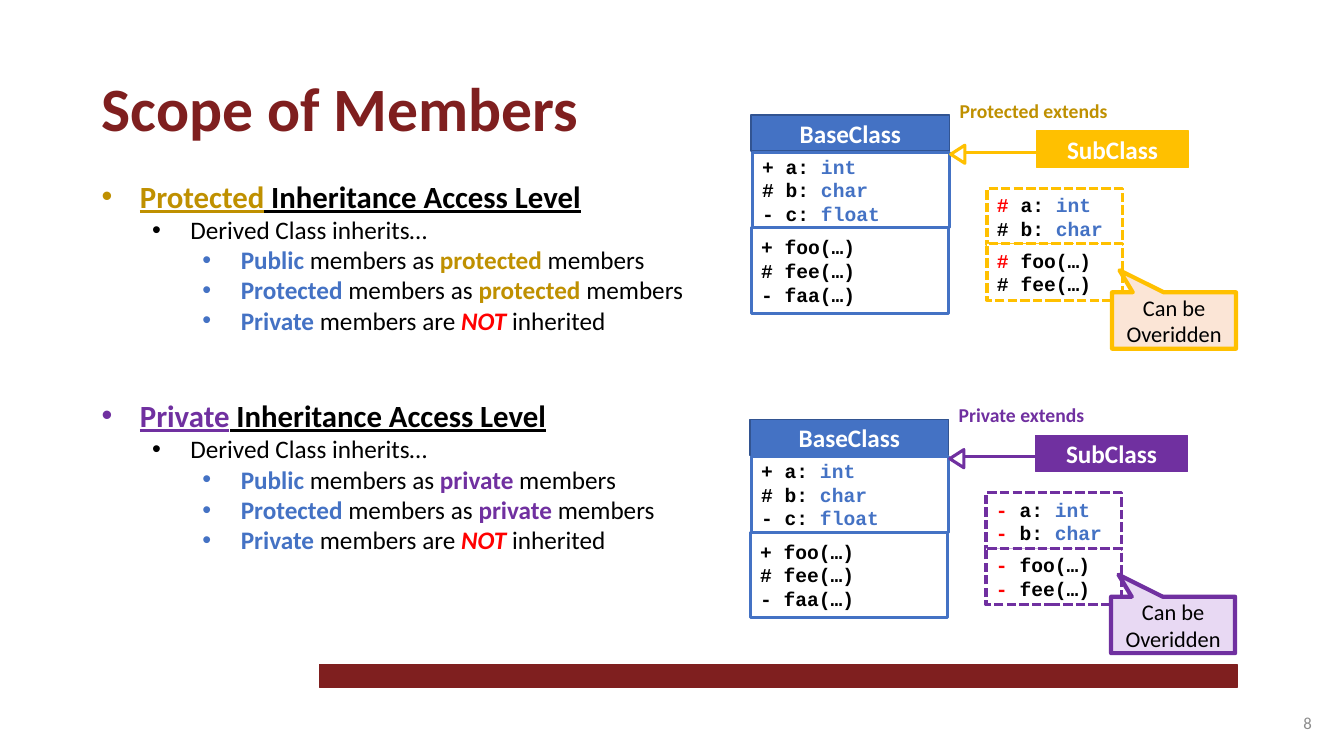
from dataclasses import dataclass
from typing import Optional

from lxml.etree import SubElement
from pptx import Presentation
from pptx.dml.color import RGBColor
from pptx.enum.dml import MSO_LINE
from pptx.enum.shapes import MSO_CONNECTOR, MSO_SHAPE
from pptx.enum.text import MSO_ANCHOR, PP_ALIGN
from pptx.oxml.ns import qn
from pptx.util import Inches, Pt

MAROON, GOLD, AMBER, PURPLE = "7F1F1F", "BF9000", "FFC000", "7030A0"
BLUE, NAVY, RED = "4472C4", "325491", "FF0000"
BLACK, WHITE, GRAY = "000000", "FFFFFF", "8C8C8C"
BODY_FONT, CODE_FONT = "Calibri", "Courier New"


@dataclass(frozen=True)
class Run:
    text: str
    color: str = BLACK
    bold: bool = False
    italic: bool = False
    underline: bool = False


@dataclass(frozen=True)
class Paragraph:
    runs: list[Run]
    size: float
    font: str = BODY_FONT
    align: PP_ALIGN = PP_ALIGN.LEFT
    level: Optional[int] = None  # bullet level, None for no bullet
    space_before: float = 0


@dataclass(frozen=True)
class Box:
    left: float
    top: float
    width: float
    height: float

    def lengths(self):
        return [Inches(v) for v in (self.left, self.top, self.width, self.height)]


@dataclass(frozen=True)
class Member:
    mark: str
    name: str
    type_name: str = ""
    changed: bool = False  # access differs from the base class


@dataclass(frozen=True)
class Inheritance:
    access: str
    text_color: str
    line_color: str
    callout_fill: str
    left: float
    top: float
    fields: list[Member]
    methods: list[Member]


BASE_FIELDS = [Member("+", "a:", "int"), Member("#", "b:", "char"), Member("-", "c:", "float")]
BASE_METHODS = [Member("+", "foo(…)"), Member("#", "fee(…)"), Member("-", "faa(…)")]
INHERITANCES = [
    Inheritance("Protected", GOLD, AMBER, "FBE5D6", 7.45, 1.14,
                [Member("#", "a:", "int", True), Member("#", "b:", "char")],
                [Member("#", "foo(…)", changed=True), Member("#", "fee(…)")]),
    Inheritance("Private", PURPLE, PURPLE, "E8D9F3", 7.44, 4.16,
                [Member("-", "a:", "int", True), Member("-", "b:", "char", True)],
                [Member("-", "foo(…)", changed=True), Member("-", "fee(…)", changed=True)]),
]


def rgb(color: str) -> RGBColor:
    return RGBColor.from_string(color)


def write(frame, paragraphs: list[Paragraph], anchor=MSO_ANCHOR.MIDDLE) -> None:
    frame.word_wrap = True
    frame.vertical_anchor = anchor
    for index, content in enumerate(paragraphs):
        paragraph = frame.add_paragraph() if index else frame.paragraphs[0]
        paragraph.alignment = content.align
        paragraph.space_before = Pt(content.space_before)
        for part in content.runs:
            run = paragraph.add_run()
            run.text = part.text
            font = run.font
            font.name, font.size = content.font, Pt(content.size)
            font.bold, font.italic, font.underline = part.bold, part.italic, part.underline
            font.color.rgb = rgb(part.color)
        if content.level is not None:
            add_bullet(paragraph, content.level)


def add_bullet(paragraph, level: int) -> None:
    paragraph.level = level
    properties = paragraph._p.get_or_add_pPr()
    properties.set("marL", str(Inches(0.38 + 0.5 * level)))
    properties.set("indent", str(Inches(-0.38)))
    SubElement(properties, qn("a:buFont")).set("typeface", "Arial")
    SubElement(properties, qn("a:buChar")).set("char", "•")


def add_text(slide, box: Box, paragraphs: list[Paragraph], anchor=MSO_ANCHOR.TOP) -> None:
    write(slide.shapes.add_textbox(*box.lengths()).text_frame, paragraphs, anchor)


def add_block(slide, box: Box, fill: Optional[str], line: str, weight: float,
              paragraphs: Optional[list[Paragraph]] = None, kind=MSO_SHAPE.RECTANGLE):
    shape = slide.shapes.add_shape(kind, *box.lengths())
    shape.shadow.inherit = False
    if fill:
        shape.fill.solid()
        shape.fill.fore_color.rgb = rgb(fill)
    else:
        shape.fill.background()
    shape.line.color.rgb = rgb(line)
    shape.line.width = Pt(weight)
    if paragraphs:
        write(shape.text_frame, paragraphs)
    return shape


def centered(text: str, size: float, color: str, bold: bool) -> list[Paragraph]:
    return [Paragraph([Run(text, color, bold)], size, align=PP_ALIGN.CENTER)]


def member_lines(members: list[Member]) -> list[Paragraph]:
    lines = []
    for member in members:
        runs = [Run(member.mark, RED if member.changed else BLACK, True),
                Run(f" {member.name}", BLACK, True)]
        if member.type_name:
            runs.append(Run(f" {member.type_name}", BLUE, True))
        lines.append(Paragraph(runs, 14, CODE_FONT))
    return lines


def rule_paragraphs(rule: Inheritance, space_before: float) -> list[Paragraph]:
    color = rule.text_color
    heading = [Run(rule.access, color, True, underline=True),
               Run(" Inheritance Access Level", BLACK, True, underline=True)]
    inherited = [[Run(source, BLUE, True), Run(" members as "),
                  Run(rule.access.lower(), color, True), Run(" members")]
                 for source in ("Public", "Protected")]
    excluded = [Run("Private", BLUE, True), Run(" members are "),
                Run("NOT", RED, True, italic=True), Run(" inherited")]
    return [Paragraph(heading, 22, level=0, space_before=space_before),
            Paragraph([Run("Derived Class inherits…")], 18, level=1),
            *[Paragraph(runs, 18, level=2) for runs in [*inherited, excluded]]]


def draw_class_diagram(slide, rule: Inheritance) -> None:
    color = rule.line_color

    def at(dx: float, dy: float, width: float, height: float) -> Box:
        return Box(rule.left + dx, rule.top + dy, width, height)

    add_block(slide, at(0, 0, 1.97, 0.36), BLUE, NAVY, 1, centered("BaseClass", 18, WHITE, True))
    add_block(slide, at(0.01, 0.37, 1.96, 0.75), WHITE, BLUE, 2.25, member_lines(BASE_FIELDS))
    add_block(slide, at(0, 1.12, 1.96, 0.85), WHITE, BLUE, 2.25, member_lines(BASE_METHODS))
    add_block(slide, at(2.83, 0.16, 1.51, 0.36), color, color, 1,
              centered("SubClass", 18, WHITE, True))

    arrowhead = add_block(slide, at(1.96, 0.32, 0.18, 0.14), None, color, 2.25,
                          kind=MSO_SHAPE.ISOSCELES_TRIANGLE)
    arrowhead.rotation = 270
    y = Inches(rule.top + 0.37)
    connector = slide.shapes.add_connector(
        MSO_CONNECTOR.STRAIGHT, Inches(rule.left + 2.12), y, Inches(rule.left + 2.83), y)
    connector.line.color.rgb = rgb(color)
    connector.line.width = Pt(2.25)
    SubElement(connector._element.spPr, qn("a:effectLst"))
    add_text(slide, at(1.97, -0.21, 1.87, 0.34),
             [Paragraph([Run(f"{rule.access} extends", rule.text_color, True)], 14)])

    for dy, members in ((0.73, rule.fields), (1.28, rule.methods)):
        block = add_block(slide, at(2.34, dy, 1.34, 0.56), WHITE, color, 2.25,
                          member_lines(members))
        block.line.dash_style = MSO_LINE.SQUARE_DOT
    callout = add_block(slide, at(3.58, 1.76, 1.23, 0.56), rule.callout_fill, color, 3,
                        centered("Can be Overidden", 16, BLACK, False),
                        MSO_SHAPE.RECTANGULAR_CALLOUT)
    callout.adjustments[0], callout.adjustments[1] = -0.44, -0.89


def main() -> None:
    presentation = Presentation()
    presentation.slide_width, presentation.slide_height = Inches(13.33), Inches(7.5)
    slide = presentation.slides.add_slide(presentation.slide_layouts[6])
    add_block(slide, Box(3.17, 6.59, 9.1, 0.23), MAROON, MAROON, 1)
    add_text(slide, Box(0.91, 0.64, 8.1, 0.84),
             [Paragraph([Run("Scope of Members", MAROON, True)], 44)])
    protected, private = INHERITANCES
    add_text(slide, Box(0.91, 1.71, 7.93, 4.41),
             rule_paragraphs(protected, 0) + rule_paragraphs(private, 44))
    add_text(slide, Box(10.11, 6.97, 3, 0.4),
             [Paragraph([Run("8", GRAY)], 12, align=PP_ALIGN.RIGHT)], MSO_ANCHOR.MIDDLE)
    for rule in INHERITANCES:
        draw_class_diagram(slide, rule)
    presentation.save("out.pptx")


if __name__ == "__main__":
    main()
